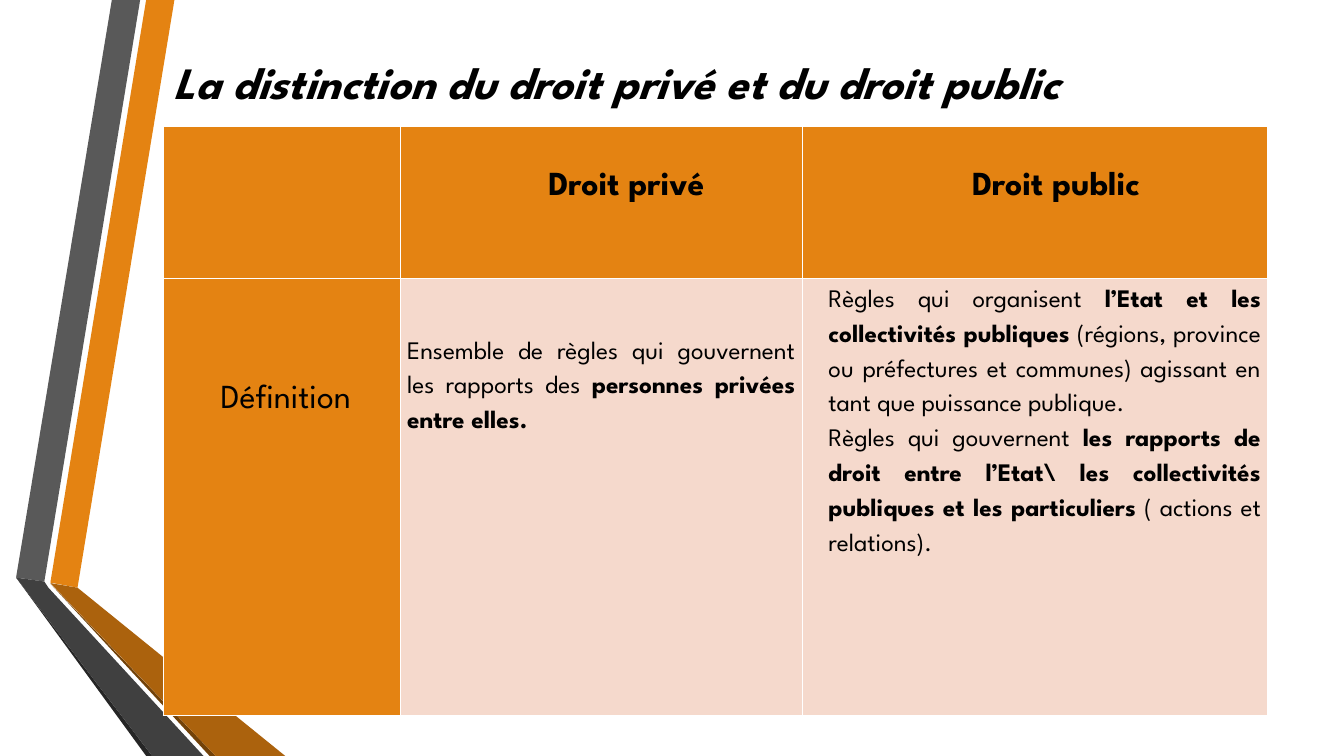
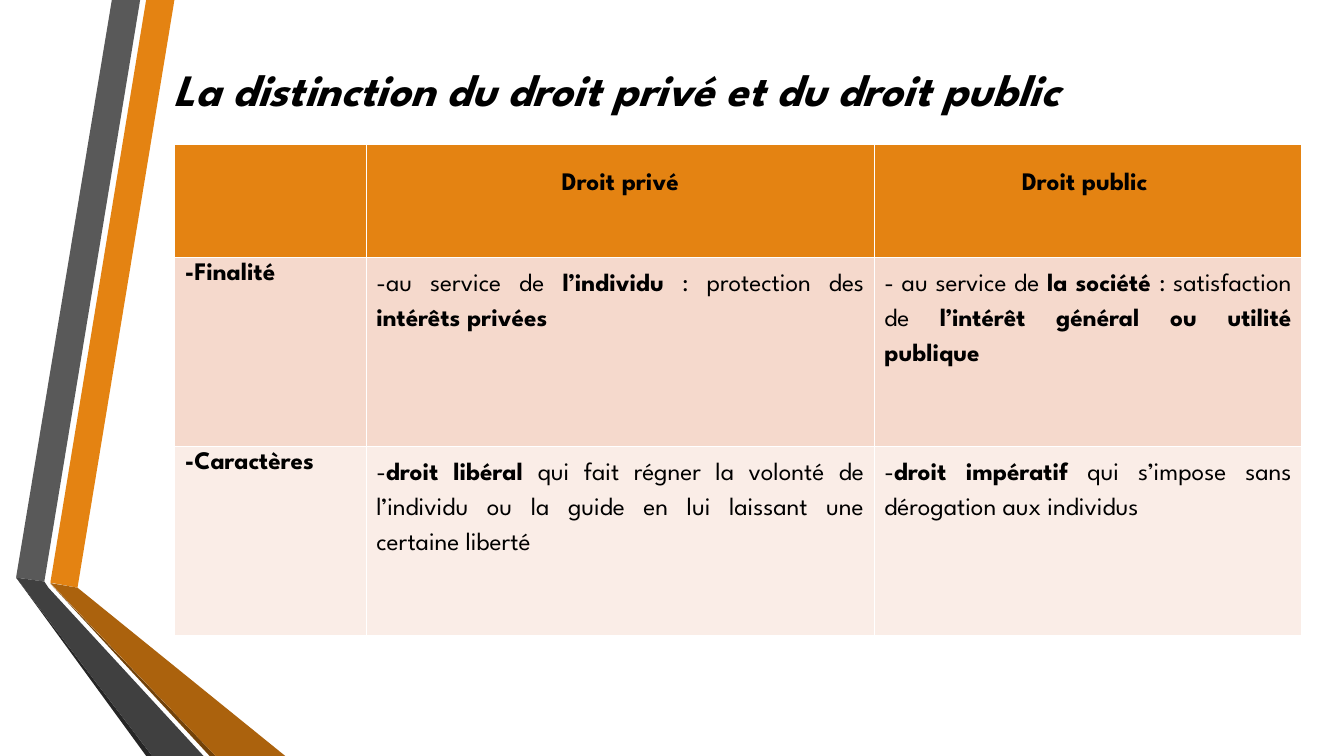
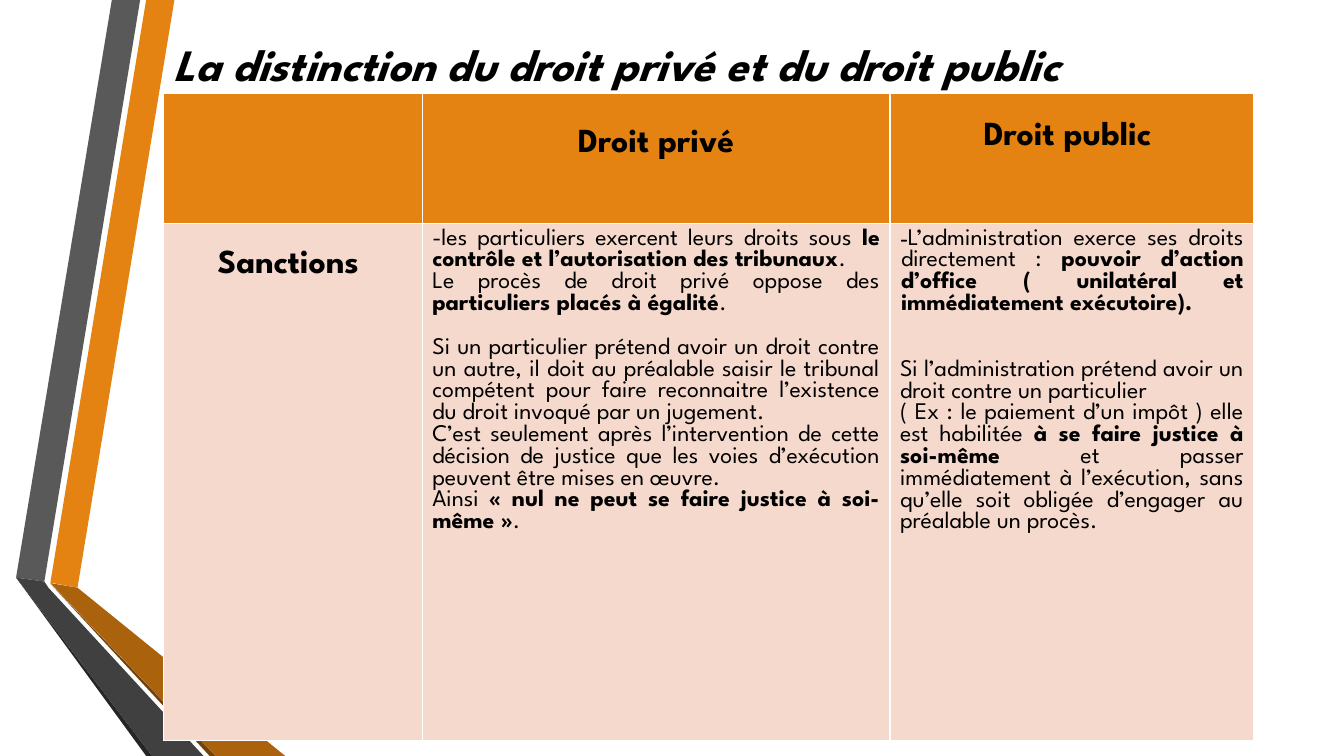
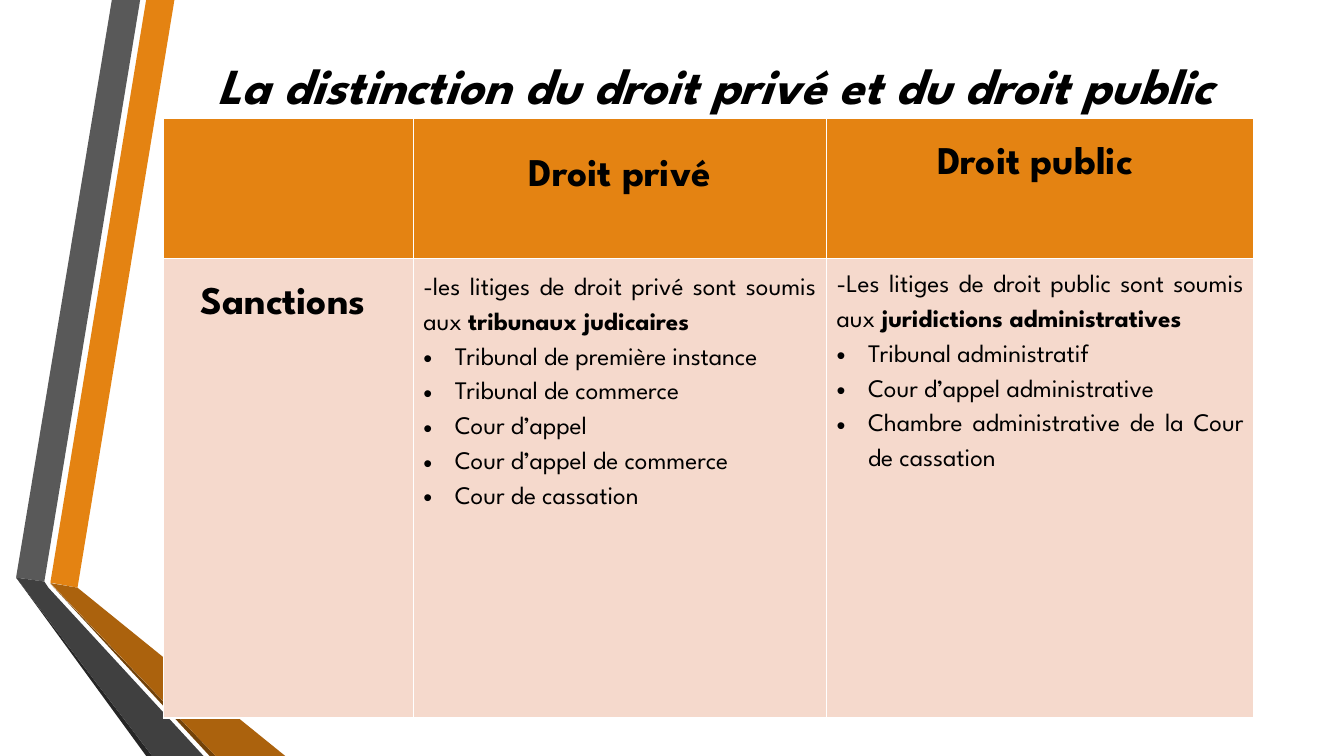
from dataclasses import dataclass

from lxml import etree
from pptx import Presentation
from pptx.dml.color import RGBColor
from pptx.enum.text import MSO_ANCHOR, MSO_AUTO_SIZE, PP_ALIGN
from pptx.oxml.ns import qn
from pptx.util import Pt

LEFT, CENTER, JUSTIFY = PP_ALIGN.LEFT, PP_ALIGN.CENTER, PP_ALIGN.JUSTIFY
MIDDLE = MSO_ANCHOR.MIDDLE
NO_FIT = MSO_AUTO_SIZE.NONE

# Shared style
FONT = "League Spartan"
BLACK, WHITE = "000000", "FFFFFF"
ORANGE, PEACH, PALE = "E48312", "F5D9CC", "FAEDE7"
TITLE = "La distinction du droit privé et du droit public"

# Ribbon outlines, from back to front
RIBBONS = [
    (ORANGE, [(36, 416.2), (55.4, 419.8), (124.6, 0), (104.4, 0)]),
    ("595959", [(100.1, 0), (79.9, 0), (11.5, 412.6), (31.7, 415.4)]),
    ("262626", [(11.5, 412.6), (104.4, 540), (108.7, 540)]),
    ("724209", [(36, 416.9), (149.8, 540), (154.1, 540)]),
    ("AB620D", [(36, 416.5), (154.1, 540), (203.8, 540), (55.4, 419.8)]),
    ("404040", [(145.4, 540), (34.6, 419.8), (31.7, 415.4), (11.5, 412.6),
                (108.7, 540)]),
]


@dataclass
class Para:
    """A paragraph; **...** marks bold words."""
    text: str
    before: float = 0
    bullet: str = ""
    hang: float = 22.5


@dataclass
class Cell:
    paras: list
    fill: str = PEACH
    size: float = 18
    align: PP_ALIGN = JUSTIFY
    spacing: float = 1.5
    top: float = 3.6
    side: float = 7.2
    indent: float = 0


def rgb(value):
    return RGBColor.from_string(value)


def style_run(r, size, bold, italic=False):
    r.font.name = FONT
    r.font.size = Pt(size)
    r.font.bold = bold
    r.font.italic = italic
    r.font.color.rgb = rgb(BLACK)


def heading(text, top, size, **options):
    """A bold, centred cell of the header row."""
    return Cell([Para(f"**{text}**")], ORANGE, size, CENTER, top=top, **options)


def label(text, top, size, align=CENTER, fill=PEACH):
    """A bold cell of the first column."""
    return Cell([Para(f"**{text}**")], fill, size, align, 1, top)


def courts(intro, names, top=3.6):
    return Cell([Para(intro)] + [Para(name, bullet="•") for name in names],
                top=top)


# Layout and title
def add_ribbons(slide, layout):
    """Draw the ribbons and hand them to the layout shared by all slides."""
    for number, (color, points) in enumerate(RIBBONS, start=20):
        corners = [(Pt(x), Pt(y)) for x, y in points]
        builder = slide.shapes.build_freeform(*corners[0], scale=1.0)
        builder.add_line_segments(corners[1:], close=True)
        sp = builder.convert_to_shape()
        sp.fill.solid()
        sp.fill.fore_color.rgb = rgb(color)
        sp.line.fill.background()
        sp.shadow.inherit = False
        sp.element.nvSpPr.cNvPr.id = number
        layout.shapes.element.append(sp.element)


def set_title(slide, top, height, size=32, align=LEFT):
    sp = slide.shapes.title
    sp.left, sp.top, sp.width, sp.height = Pt(116.6), Pt(top), Pt(789), Pt(height)
    tf = sp.text_frame
    tf.text = TITLE
    tf.auto_size = NO_FIT
    tf.vertical_anchor = MIDDLE
    tf.margin_top = Pt(15)
    p = tf.paragraphs[0]
    p.alignment = align
    style_run(p.runs[0], size, True, True)


# Tables
def set_bullet(p, char, hang):
    pPr = p._p.get_or_add_pPr()
    pPr.set("marL", str(Pt(hang)))
    pPr.set("indent", str(-Pt(hang)))
    etree.SubElement(pPr, qn("a:buFont")).set("typeface", "Arial")
    etree.SubElement(pPr, qn("a:buChar")).set("char", char)


def set_borders(cell):
    tcPr = cell._tc.get_or_add_tcPr()
    for position, side in enumerate(("lnL", "lnR", "lnT", "lnB")):
        ln = etree.Element(qn(f"a:{side}"), w=str(Pt(1)))
        fill = etree.SubElement(ln, qn("a:solidFill"))
        etree.SubElement(fill, qn("a:srgbClr")).set("val", WHITE)
        tcPr.insert(position, ln)


def write_para(p, para, spec):
    p.alignment = spec.align
    p.line_spacing = spec.spacing
    p.space_before = Pt(para.before)
    if spec.indent:
        p._p.get_or_add_pPr().set("marL", str(Pt(spec.indent)))
    if para.bullet:
        set_bullet(p, para.bullet, para.hang)
    for i, words in enumerate(para.text.split("**")):
        if words:
            r = p.add_run()
            r.text = words
            style_run(r, spec.size, i % 2 == 1)


def fill_cell(cell, spec):
    cell.fill.solid()
    cell.fill.fore_color.rgb = rgb(spec.fill)
    set_borders(cell)
    cell.margin_left = cell.margin_right = Pt(spec.side)
    cell.margin_top, cell.margin_bottom = Pt(spec.top), Pt(0)
    tf = cell.text_frame
    for i, para in enumerate(spec.paras):
        write_para(tf.add_paragraph() if i else tf.paragraphs[0], para, spec)


def add_grid(slide, left, top, widths, heights, rows):
    frame = slide.shapes.add_table(len(heights), len(widths), Pt(left), Pt(top),
                                   Pt(sum(widths)), Pt(sum(heights)))
    table = frame.table
    for column, width in zip(table.columns, widths):
        column.width = Pt(width)
    for row, height, specs in zip(table.rows, heights, rows):
        row.height = Pt(height)
        for cell, spec in zip(row.cells, specs):
            fill_cell(cell, spec)


CORNER = Cell([], ORANGE)


# Slides
def definition_slide(slide):
    set_title(slide, 15.8, 74.2)
    add_grid(slide, 116.6, 90, [169.2, 287.3, 332.6], [108.7, 312.5], [
        [CORNER,
         heading("Droit privé", 22, 24, side=5, indent=36),
         heading("Droit public ", 22, 24, side=5, indent=36)],
        [Cell([Para("Définition")], ORANGE, 24, LEFT, top=65, side=5, indent=36),
         Cell([Para("Ensemble de règles qui gouvernent les rapports des "
                    "**personnes privées entre elles.**")], top=37, side=5),
         Cell([Para("Règles qui organisent **l’Etat et les collectivités "
                    "publiques** (régions, province ou préfectures et communes) "
                    "agissant en tant que puissance publique."),
               Para("Règles qui gouvernent **les rapports de droit entre "
                    "l’Etat\\ les collectivités publiques et les particuliers** "
                    "( actions et relations).")], top=0, side=5, indent=13.7)],
    ])


def purpose_slide(slide):
    set_title(slide, 24.5, 65.5)
    add_grid(slide, 124.8, 103.3, [136.8, 362.9, 305.3], [80.6, 135.2, 135.2], [
        [CORNER,
         heading("Droit privé", 20, 18, spacing=1),
         heading("Droit public ", 20, 18, spacing=1)],
        [label("-Finalité", 3.6, 18, LEFT),
         Cell([Para("-au service de **l’individu** : protection des "
                    "**intérêts privées**")]),
         Cell([Para("- au service de **la société **: satisfaction de "
                    "**l’intérêt général ou utilité publique**")])],
        [label("-Caractères", 3.6, 18, LEFT, PALE),
         Cell([Para("-**droit libéral** qui fait régner la volonté de l’individu "
                    "ou la guide en lui laissant une certaine liberté")], PALE),
         Cell([Para("-**droit impératif** qui s’impose sans dérogation aux "
                    "individus")], PALE)],
    ])


def enforcement_slide(slide):
    set_title(slide, 10.8, 58.3)
    add_grid(slide, 116.6, 66.6, [185, 334.1, 259.9], [93, 369.4], [
        [CORNER,
         heading("Droit privé", 25.7, 24, spacing=1),
         heading("Droit public ", 20.2, 24, spacing=1)],
        [label("Sanctions ", 18.8, 24),
         Cell([Para("-les particuliers exercent leurs droits sous **le contrôle "
                    "et l’autorisation des tribunaux**."),
               Para("Le procès de droit privé oppose des **particuliers placés "
                    "à égalité**."),
               Para("Si un particulier prétend avoir un droit contre un autre, "
                    "il doit au préalable saisir le tribunal compétent pour "
                    "faire reconnaitre l’existence du droit invoqué par un "
                    "jugement.", before=15.6),
               Para("C’est seulement après l’intervention de cette décision de "
                    "justice que les voies d’exécution peuvent être mises en "
                    "œuvre."),
               Para("Ainsi **« nul ne peut se faire justice à soi-même »**.")],
              size=17, spacing=1),
         Cell([Para("L’administration exerce ses droits directement : "
                    "**pouvoir d’action d’office ( unilatéral et immédiatement "
                    "exécutoire).**", bullet="-", hang=0.7),
               Para("Si l’administration prétend avoir un droit contre un "
                    "particulier", before=31.3),
               Para("( Ex : le paiement d’un impôt ) elle est habilitée **à se "
                    "faire justice à soi-même** et passer immédiatement à "
                    "l’exécution, sans qu’elle soit obligée d’engager au "
                    "préalable un procès.")],
              size=17, spacing=1)],
    ])


def courts_slide(slide):
    set_title(slide, 26.6, 56.2, 36, CENTER)
    add_grid(slide, 116.6, 84.6, [178.6, 295.2, 305.3], [100, 328.3], [
        [CORNER,
         heading("Droit privé", 29.4, 28, spacing=1),
         heading("Droit public ", 20.2, 28, spacing=1)],
        [label("Sanctions ", 20.2, 28),
         courts("-les litiges de droit privé sont soumis aux **tribunaux "
                "judicaires**",
                ["Tribunal de première instance", "Tribunal de commerce",
                 "Cour d’appel", "Cour d’appel de commerce",
                 "Cour de cassation"], top=5.6),
         courts("-Les litiges de droit public sont soumis aux **juridictions "
                "administratives**",
                ["Tribunal administratif", "Cour d’appel administrative",
                 "Chambre administrative de la Cour de cassation"])],
    ])


def main():
    prs = Presentation()
    prs.slide_width, prs.slide_height = Pt(960), Pt(540)
    layout = prs.slide_layouts[5]
    builders = [definition_slide, purpose_slide, enforcement_slide, courts_slide]
    slides = [prs.slides.add_slide(layout) for _ in builders]
    add_ribbons(slides[0], layout)
    for slide, build in zip(slides, builders):
        build(slide)
    prs.save("out.pptx")


if __name__ == "__main__":
    main()
